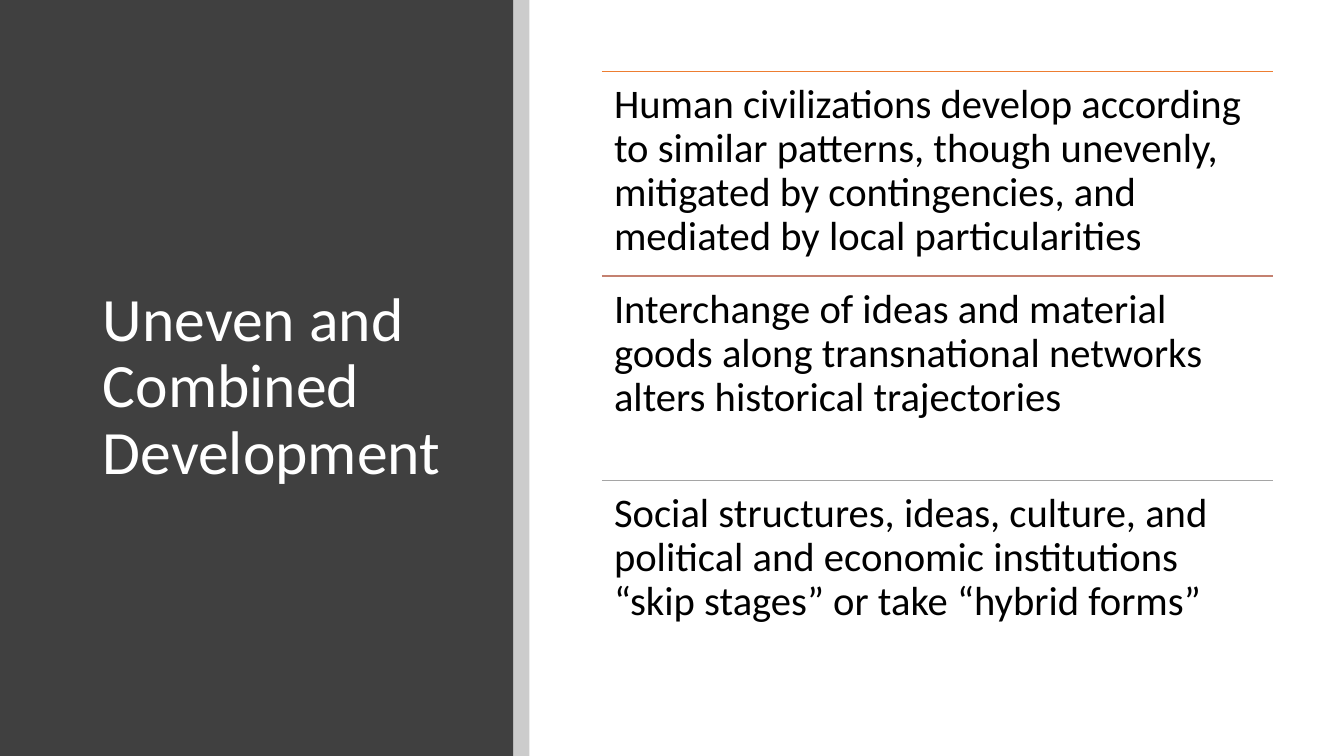
from dataclasses import dataclass

from lxml.etree import SubElement
from pptx import Presentation
from pptx.dml.color import RGBColor as RGB
from pptx.enum.shapes import MSO_CONNECTOR as Connector, MSO_SHAPE as Shape
from pptx.enum.text import MSO_ANCHOR as Anchor, MSO_AUTO_SIZE as AutoSize, PP_ALIGN as Align
from pptx.oxml.ns import qn
from pptx.util import Inches, Pt

# Content: heading, then each point with the colour of its rule
HEADING = "Uneven and Combined Development"
POINTS = [
    ("Human civilizations develop according to similar patterns, though unevenly, "
     "mitigated by contingencies, and mediated by local particularities", "ED7D31"),
    ("Interchange of ideas and material goods along transnational networks "
     "alters historical trajectories", "C48170"),
    ("Social structures, ideas, culture, and political and economic institutions "
     "“skip stages” or take “hybrid forms”", "A5A5A5"),
]


@dataclass(frozen=True)
class Theme:
    font: str = "Calibri"
    panel: str = "404040"
    stripe: str = "000000"
    stripe_opacity: int = 20
    heading: str = "FFFFFF"
    point: str = "000000"
    heading_size: int = 44
    point_size: int = 29
    rule_width: int = 1
    line_spacing: float = 0.9


THEME = Theme()

# Layout, in inches
SLIDE_W, SLIDE_H = 13.33, 7.5
PANEL_W, STRIPE_W = 5.09, 0.16
POINT_LEFT, POINT_TOP, POINT_W, POINT_H = 5.97, 0.71, 6.66, 2.03
POINT_INSET = 0.12


def add_band(slide, left, width, color):
    band = slide.shapes.add_shape(
        Shape.RECTANGLE, Inches(left), 0, Inches(width), Inches(SLIDE_H))
    band.shadow.inherit = False
    band.fill.solid()
    band.fill.fore_color.rgb = RGB.from_string(color)
    band.line.fill.background()
    return band


def style_text(paragraph, size, color):
    paragraph.alignment = Align.LEFT
    paragraph.line_spacing = THEME.line_spacing
    paragraph.font.name = THEME.font
    paragraph.font.size = Pt(size)
    paragraph.font.color.rgb = RGB.from_string(color)


def add_rule(slide, top, color):
    rule = slide.shapes.add_connector(
        Connector.STRAIGHT, Inches(POINT_LEFT), Inches(top),
        Inches(POINT_LEFT + POINT_W), Inches(top))
    rule.line.color.rgb = RGB.from_string(color)
    rule.line.width = Pt(THEME.rule_width)
    SubElement(rule._element.spPr, qn("a:effectLst"))


def add_point(slide, top, wording):
    point = slide.shapes.add_textbox(
        Inches(POINT_LEFT), Inches(top), Inches(POINT_W), Inches(POINT_H))
    frame = point.text_frame
    frame.word_wrap = True
    frame.margin_left = frame.margin_right = Inches(POINT_INSET)
    frame.margin_top = frame.margin_bottom = Inches(POINT_INSET)
    frame.text = wording
    style_text(frame.paragraphs[0], THEME.point_size, THEME.point)


def main():
    deck = Presentation()
    deck.slide_width, deck.slide_height = Inches(SLIDE_W), Inches(SLIDE_H)
    slide = deck.slides.add_slide(deck.slide_layouts[5])

    # Dark panel with a translucent stripe along its edge
    add_band(slide, 0, PANEL_W, THEME.panel)
    stripe = add_band(slide, PANEL_W, STRIPE_W, THEME.stripe)
    stripe_color = stripe._element.spPr.find(".//" + qn("a:srgbClr"))
    SubElement(stripe_color, qn("a:alpha"), val=str(THEME.stripe_opacity * 1000))

    # Heading, brought in front of the panel
    heading = slide.shapes.title
    heading.left, heading.top = Inches(0.92), Inches(0.89)
    heading.width, heading.height = Inches(3.65), Inches(5.91)
    heading.text_frame.text = HEADING
    heading.text_frame.word_wrap = True
    heading.text_frame.auto_size = AutoSize.NONE
    heading.text_frame.vertical_anchor = Anchor.MIDDLE
    style_text(heading.text_frame.paragraphs[0], THEME.heading_size, THEME.heading)
    slide.shapes._spTree.append(heading._element)

    # Points, each under its own rule
    for row, (wording, rule_color) in enumerate(POINTS):
        top = POINT_TOP + row * POINT_H
        add_rule(slide, top, rule_color)
        add_point(slide, top, wording)

    deck.save("out.pptx")


if __name__ == "__main__":
    main()
